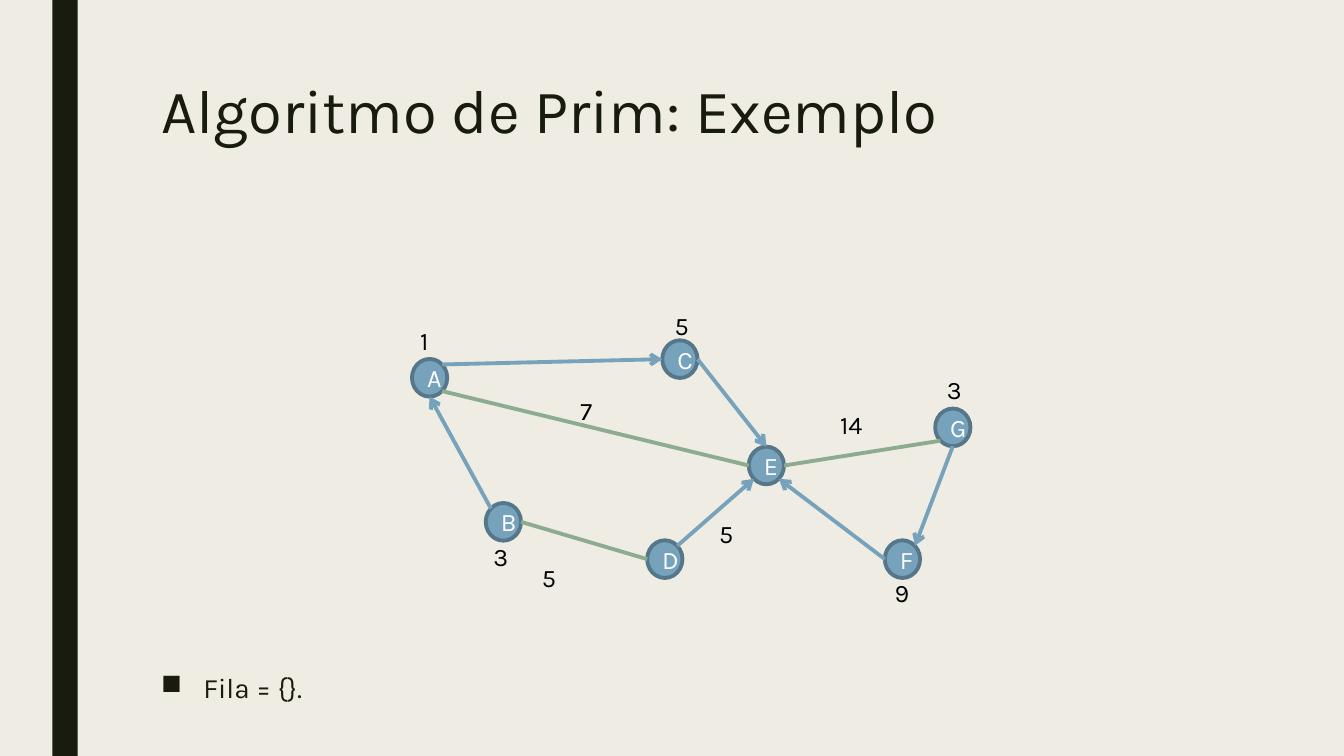
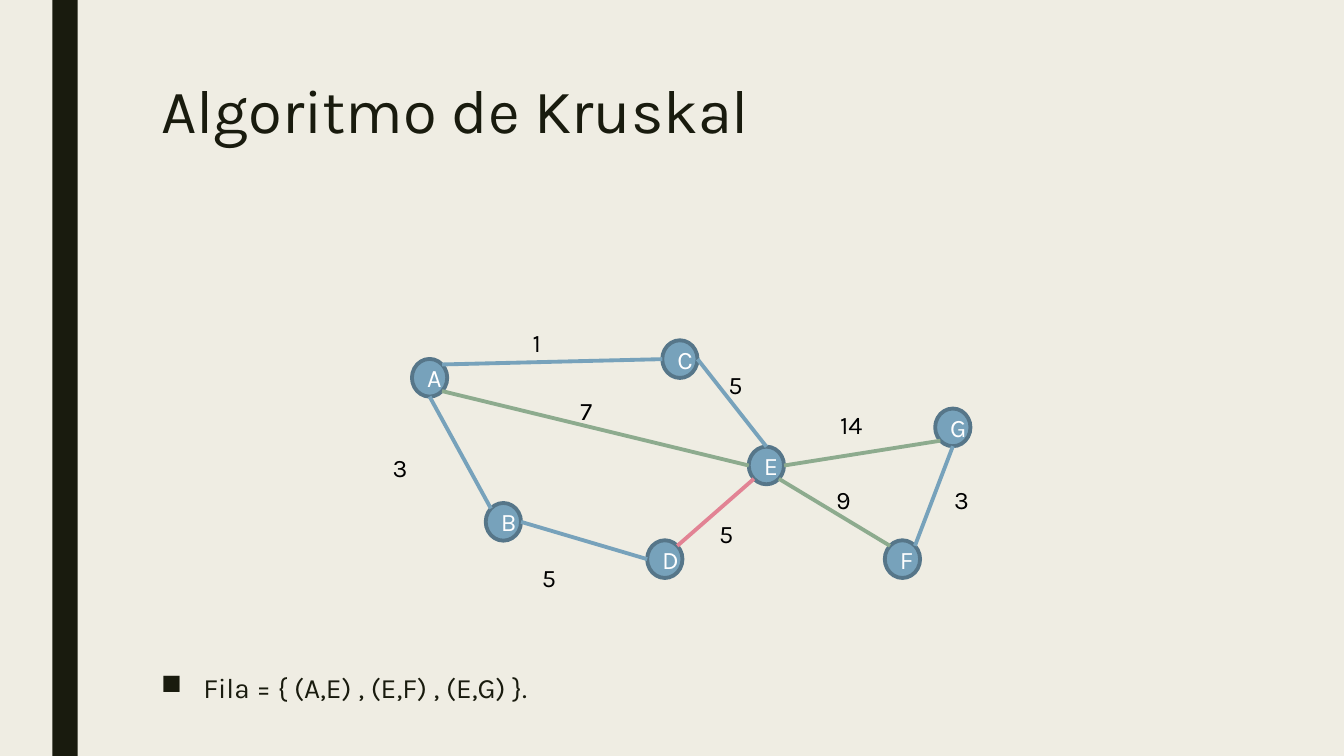
import math

from lxml import etree
from pptx import Presentation
from pptx.dml.color import RGBColor
from pptx.enum import shapes, text
from pptx.oxml import ns
from pptx.util import Cm, Pt

DARK, CREAM, BLACK, WHITE = "191B0E", "EFEDE3", "000000", "FFFFFF"
BLUE, RIM, GREEN, PINK = "77A2BB", "567689", "8DAB8E", "E28394"
NODE_WIDTH, NODE_HEIGHT = 0.89, 0.95

nodes = {
    "A": (10.83, 9.52), "B": (12.69, 13.15), "C": (17.14, 9.05),
    "D": (16.76, 14.09), "E": (19.32, 11.73), "F": (22.75, 14.09),
    "G": (24.02, 10.77),
}
compass = ["e", "se", "s", "sw", "w", "nw", "n", "ne"]
shared_weights = [("7", 14.38, 9.83), ("14", 20.93, 10.19),
                  ("5", 17.88, 12.93), ("5", 13.41, 14.05)]
examples = [
    {
        "title": "Algoritmo de Prim: Exemplo",
        "queue": "Fila = {}.",
        "edges": [
            (BLUE, True, ["A ne C w", "B nw A s", "F w E se", "G s F ne", "C e E n", "D ne E sw"]),
            (GREEN, False, ["E e G sw", "A se E w", "B e D w"]),
        ],
        "weights": [("1", 10.34, 8.08), ("3", 12.19, 13.51), ("5", 16.76, 7.7),
                    ("9", 22.3, 14.43), ("3", 23.62, 9.3)],
    },
    {
        "title": "Algoritmo de Kruskal",
        "queue": "Fila = { (A,E) , (E,F) , (E,G) }.",
        "edges": [
            (BLUE, False, ["A ne C w", "B e D w", "A s B nw", "C e E n", "G s F ne"]),
            (GREEN, False, ["E e G sw", "E se F nw", "A se E w"]),
            (PINK, False, ["D ne E sw"]),
        ],
        "weights": [("1", 13.18, 8.13), ("3", 9.65, 11.28), ("5", 18.11, 9.17),
                    ("9", 20.83, 12.07), ("3", 23.8, 12.07)],
    },
]


def write(frame, words, size, color, align=text.PP_ALIGN.LEFT):
    frame.text = words
    frame.word_wrap = True
    paragraph = frame.paragraphs[0]
    paragraph.alignment = align
    font = paragraph.runs[0].font
    font.name, font.size = "Karla", Pt(size)
    font.color.rgb = RGBColor.from_string(color)
    return paragraph


def site(node, direction):
    x, y = nodes[node]
    angle = compass.index(direction) * math.pi / 4
    return (Cm(x + NODE_WIDTH / 2 * math.cos(angle)),
            Cm(y + NODE_HEIGHT / 2 * math.sin(angle)))


prs = Presentation()
prs.slide_width, prs.slide_height = Cm(33.88), Cm(19.05)
layout = prs.slide_layouts[5]
layout.background.fill.solid()
layout.background.fill.fore_color.rgb = RGBColor.from_string(CREAM)

for example in examples:
    slide = prs.slides.add_slide(layout)

    band = slide.shapes.add_shape(shapes.MSO_SHAPE.RECTANGLE, Cm(1.32), 0, Cm(0.64), prs.slide_height)
    band.shadow.inherit = False
    band.fill.solid()
    band.fill.fore_color.rgb = RGBColor.from_string(DARK)
    band.line.fill.background()

    title = slide.shapes.title
    title.left, title.top, title.width, title.height = Cm(3.81), Cm(1.9), Cm(26.67), Cm(4.14)
    title.text_frame.vertical_anchor = text.MSO_ANCHOR.TOP
    title.text_frame.auto_size = text.MSO_AUTO_SIZE.NONE
    write(title.text_frame, example["title"], 44, DARK).line_spacing = 0.89

    for letter, (x, y) in nodes.items():
        node = slide.shapes.add_shape(
            shapes.MSO_SHAPE.OVAL, Cm(x - NODE_WIDTH / 2), Cm(y - NODE_HEIGHT / 2),
            Cm(NODE_WIDTH), Cm(NODE_HEIGHT))
        node.shadow.inherit = False
        node.fill.solid()
        node.fill.fore_color.rgb = RGBColor.from_string(BLUE)
        node.line.color.rgb = RGBColor.from_string(RIM)
        node.line.width = Pt(2.75)
        write(node.text_frame, letter, 18, WHITE, text.PP_ALIGN.CENTER)

    for color, directed, routes in example["edges"]:
        for route in routes:
            start, start_side, end, end_side = route.split()
            edge = slide.shapes.add_connector(
                shapes.MSO_CONNECTOR.STRAIGHT, *site(start, start_side), *site(end, end_side))
            edge.line.color.rgb = RGBColor.from_string(color)
            edge.line.width = Pt(2.75)
            properties = edge.element.spPr
            if directed:
                etree.SubElement(properties.find(ns.qn("a:ln")), ns.qn("a:tailEnd"), type="arrow")
            etree.SubElement(properties, ns.qn("a:effectLst"))

    for weight, x, y in shared_weights + example["weights"]:
        label = slide.shapes.add_textbox(Cm(x), Cm(y), Cm(2.18), Cm(1.02))
        write(label.text_frame, weight, 18, BLACK)

    queue = slide.shapes.add_textbox(Cm(3.81), Cm(16.84), Cm(26.67), Cm(1.5))
    item = write(queue.text_frame, example["queue"], 20, DARK)
    item.line_spacing = 0.94
    indents = item._p.get_or_add_pPr()
    indents.set("marL", str(Cm(1.07)))
    indents.set("indent", str(-Cm(1.07)))
    bullet_color = etree.SubElement(indents, ns.qn("a:buClr"))
    etree.SubElement(bullet_color, ns.qn("a:srgbClr"), val=DARK)
    etree.SubElement(indents, ns.qn("a:buChar"), char="■")

prs.save("out.pptx")
